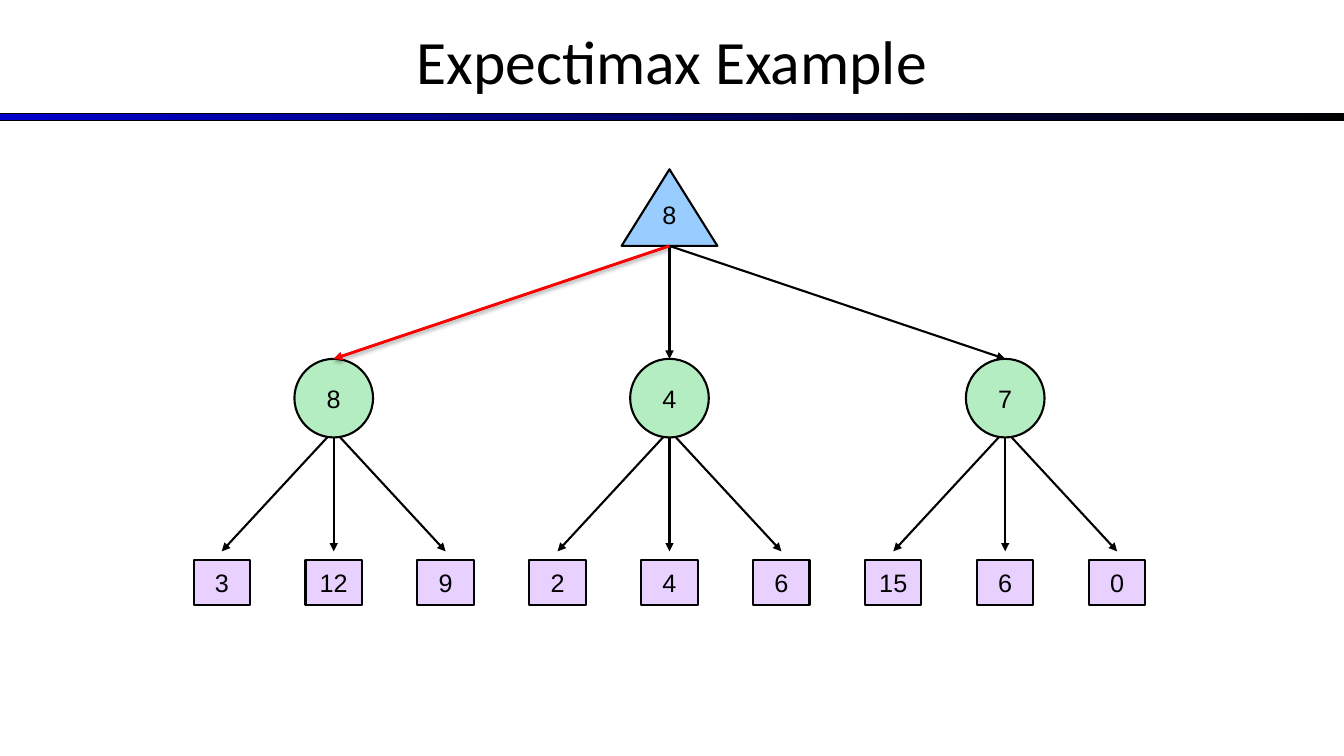
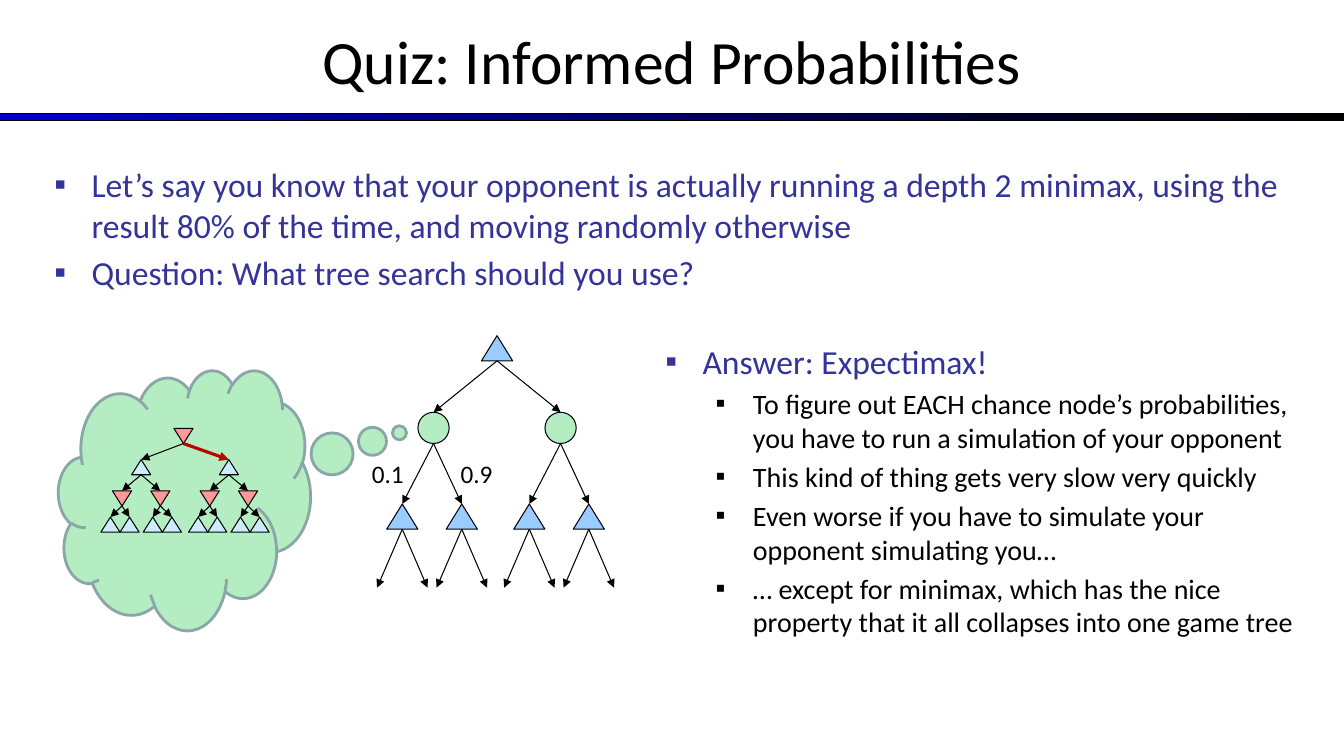
"""Builds two slides on expectimax search: a worked tree and a quiz."""
from dataclasses import dataclass

from lxml import etree
from pptx import Presentation
from pptx.dml.color import RGBColor
from pptx.enum.shapes import MSO_CONNECTOR, MSO_SHAPE
from pptx.enum.text import MSO_ANCHOR, PP_ALIGN
from pptx.oxml.ns import qn
from pptx.util import Inches, Pt

STRAIGHT = MSO_CONNECTOR.STRAIGHT
RECT = MSO_SHAPE.RECTANGLE
OVAL = MSO_SHAPE.OVAL
PEAK = MSO_SHAPE.ISOSCELES_TRIANGLE
CLOUD = MSO_SHAPE.CLOUD_CALLOUT
MIDDLE = MSO_ANCHOR.MIDDLE
CENTER = PP_ALIGN.CENTER


@dataclass(frozen=True)
class Theme:
    black: str = "000000"
    band: str = "0000CC"
    navy: str = "333399"
    sky: str = "99CCFF"
    ice: str = "CCECFF"
    mint: str = "B5EDC2"
    mist: str = "8AA6A8"
    lilac: str = "E8D1FF"
    rose: str = "FF9999"
    red: str = "FF0000"
    dark_red: str = "C00000"
    head: str = "Calibri"
    sans: str = "Arial"
    title: int = 44
    point: int = 24
    detail: int = 20
    label: int = 18
    thin: float = 0.75
    thick: float = 1.5


T = Theme()


def node(slide, kind, mid, top, wide, high, fill, weight, text="", edge=T.black):
    shape = slide.shapes.add_shape(
        kind, Inches(mid - wide / 2), Inches(top), Inches(wide), Inches(high))
    shape.shadow.inherit = False
    shape.fill.solid()
    shape.fill.fore_color.rgb = RGBColor.from_string(fill)
    shape.line.color.rgb = RGBColor.from_string(edge)
    shape.line.width = Pt(weight)
    if text:
        frame = shape.text_frame
        frame.word_wrap = False
        frame.vertical_anchor = MIDDLE
        frame.margin_left = frame.margin_right = 0
        frame.margin_top = frame.margin_bottom = 0
        frame.paragraphs[0].alignment = CENTER
        run = frame.paragraphs[0].add_run()
        run.text = text
        run.font.name = T.sans
        run.font.size = Pt(T.label)
        run.font.color.rgb = RGBColor.from_string(T.black)
    return shape


def arrow(slide, x1, y1, x2, y2, weight, color=T.black):
    line = slide.shapes.add_connector(
        STRAIGHT, Inches(x1), Inches(y1), Inches(x2), Inches(y2))
    line.line.color.rgb = RGBColor.from_string(color)
    line.line.width = Pt(weight)
    props = line._element.spPr
    etree.SubElement(props.find(qn("a:ln")), qn("a:tailEnd"), type="triangle")
    return etree.SubElement(props, qn("a:effectLst"))


deck = Presentation()
deck.slide_width = Inches(13.33)
deck.slide_height = Inches(7.5)

slides = []
for name in ("Expectimax Example", "Quiz: Informed Probabilities"):
    slide = deck.slides.add_slide(deck.slide_layouts[5])
    slides.append(slide)
    band = node(slide, RECT, 13.33 / 2, 1.13, 13.33, 0.07, T.band, T.thin)
    band.fill.gradient()
    band.fill.gradient_angle = 0
    for stop, color in zip(band.fill.gradient_stops, (T.band, T.black)):
        stop.color.rgb = RGBColor.from_string(color)
    title = slide.shapes.title
    title.left, title.top = Inches(0), Inches(-0.03)
    title.width, title.height = Inches(13.33), Inches(1.25)
    title.text_frame.vertical_anchor = MIDDLE
    para = title.text_frame.paragraphs[0]
    para.alignment = CENTER
    run = para.add_run()
    run.text = name
    run.font.name = T.head
    run.font.size = Pt(T.title)
    run.font.color.rgb = RGBColor.from_string(T.black)

tree, quiz = slides

root, base = 6.64, 2.44
step, gap = 3.33, 1.11
games = [("8", ("3", "12", "9")), ("4", ("2", "4", "6")), ("7", ("15", "6", "0"))]
peak = node(tree, PEAK, root, 1.68, 0.95, 0.76, T.sky, T.thick, "8")
peak.text_frame.margin_bottom = Inches(0.24)
for col, (value, leaves) in enumerate(games, -1):
    mid = root + col * step
    arrow(tree, root, base, mid, 3.56, T.thick)
    for side, leaf in enumerate(leaves, -1):
        end = mid + side * gap
        arrow(tree, mid, 4.27, end, 5.47, T.thick)
        node(tree, RECT, end, 5.56, 0.56, 0.44, T.lilac, T.thick, leaf)
    node(tree, OVAL, mid, 3.56, 0.78, 0.78, T.mint, T.thick, value)
glow = arrow(tree, root, base, root - step, 3.56, 2, T.red)
shade = etree.SubElement(glow, qn("a:outerShdw"), blurRad=str(Pt(3.1)),
                         dist=str(Pt(1.6)), dir="5400000", rotWithShape="0")
tint = etree.SubElement(shade, qn("a:srgbClr"), val=T.black)
etree.SubElement(tint, qn("a:alpha"), val="38000")

blocks = [
    (0.44, 1.58, 12.44, 1.5, [
        (0, "Let’s say you know that your opponent is actually running a depth 2 "
            "minimax, using the result 80% of the time, and moving randomly otherwise"),
        (0, "Question: What tree search should you use?")]),
    (6.5, 3.33, 6.47, 3.53, [
        (0, "Answer: Expectimax!"),
        (1, "To figure out EACH chance node’s probabilities, you have to run a "
            "simulation of your opponent"),
        (1, "This kind of thing gets very slow very quickly"),
        (1, "Even worse if you have to simulate your opponent simulating you…"),
        (1, "… except for minimax, which has the nice property that it all "
            "collapses into one game tree")]),
]
styles = [(T.point, T.navy, 0.37), (T.detail, T.black, 0.87)]
for left, top, wide, high, points in blocks:
    box = quiz.shapes.add_textbox(Inches(left), Inches(top), Inches(wide), Inches(high))
    frame = box.text_frame
    frame.word_wrap = True
    for row, (level, text) in enumerate(points):
        size, color, indent = styles[level]
        para = frame.add_paragraph() if row else frame.paragraphs[0]
        para.level = level
        props = para._p.get_or_add_pPr()
        props.set("marL", str(Inches(indent)))
        props.set("indent", str(Inches(-0.37)))
        tint = etree.SubElement(props, qn("a:buClr"))
        etree.SubElement(tint, qn("a:srgbClr"), val=color)
        etree.SubElement(props, qn("a:buFont"), typeface=T.sans)
        etree.SubElement(props, qn("a:buChar"), char="▪")
        if row:
            para.space_before = Pt(size * 0.2)
        run = para.add_run()
        run.text = text
        run.font.name = T.head
        run.font.size = Pt(size)
        run.font.color.rgb = RGBColor.from_string(color)

cloud = node(quiz, CLOUD, 1.83, 3.67, 2.5, 2.58, T.mint, 2, edge=T.mist)
cloud.adjustments[0], cloud.adjustments[1] = 0.853, -0.258

wide, high = 0.19, 0.15
mind = 1.82
node(quiz, PEAK, mind, 4.25, wide, high, T.rose, T.thin).rotation = 180
for kid, weight, color in ((1.4, T.thin, T.black), (2.27, 2.25, T.dark_red)):
    arrow(quiz, mind, 4.4, kid, 4.56, weight, color)
    node(quiz, PEAK, kid, 4.56, wide, high, T.ice, T.thin)
    for side in (-1, 1):
        foe = kid + side * 0.19
        arrow(quiz, kid, 4.71, foe, 4.87, T.thin)
        node(quiz, PEAK, foe, 4.87, wide, high, T.rose, T.thin).rotation = 180
        for turn in (-1, 1):
            leaf = kid + side * 0.21 + turn * wide / 2
            node(quiz, PEAK, leaf, 5.13, wide, high, T.ice, T.thin)
            arrow(quiz, foe, 5.02, leaf, 5.13, T.thin)

wide, high = 0.31, 0.25
top = 4.93
node(quiz, PEAK, top, 3.33, wide, high, T.sky, T.thin)
for chance in (4.3, 5.56):
    arrow(quiz, top, 3.58, chance, 4.09, T.thin)
    node(quiz, OVAL, chance, 4.09, wide, wide, T.mint, T.thin)
    for shift in (-0.31, 0.28):
        kid = chance + shift
        arrow(quiz, chance, 4.4, kid, 5, T.thin)
        node(quiz, PEAK, kid, 5, wide, high, T.sky, T.thin)
        for side in (-0.25, 0.25):
            arrow(quiz, kid, 5.25, kid + side, 5.83, T.thin)

for left, odds in ((3.59, "0.1"), (4.47, "0.9")):
    box = quiz.shapes.add_textbox(Inches(left), Inches(4.5), Inches(0.56), Inches(0.4))
    run = box.text_frame.paragraphs[0].add_run()
    run.text = odds
    run.font.name = T.head
    run.font.size = Pt(T.label)
    run.font.color.rgb = RGBColor.from_string(T.black)

deck.save("out.pptx")
